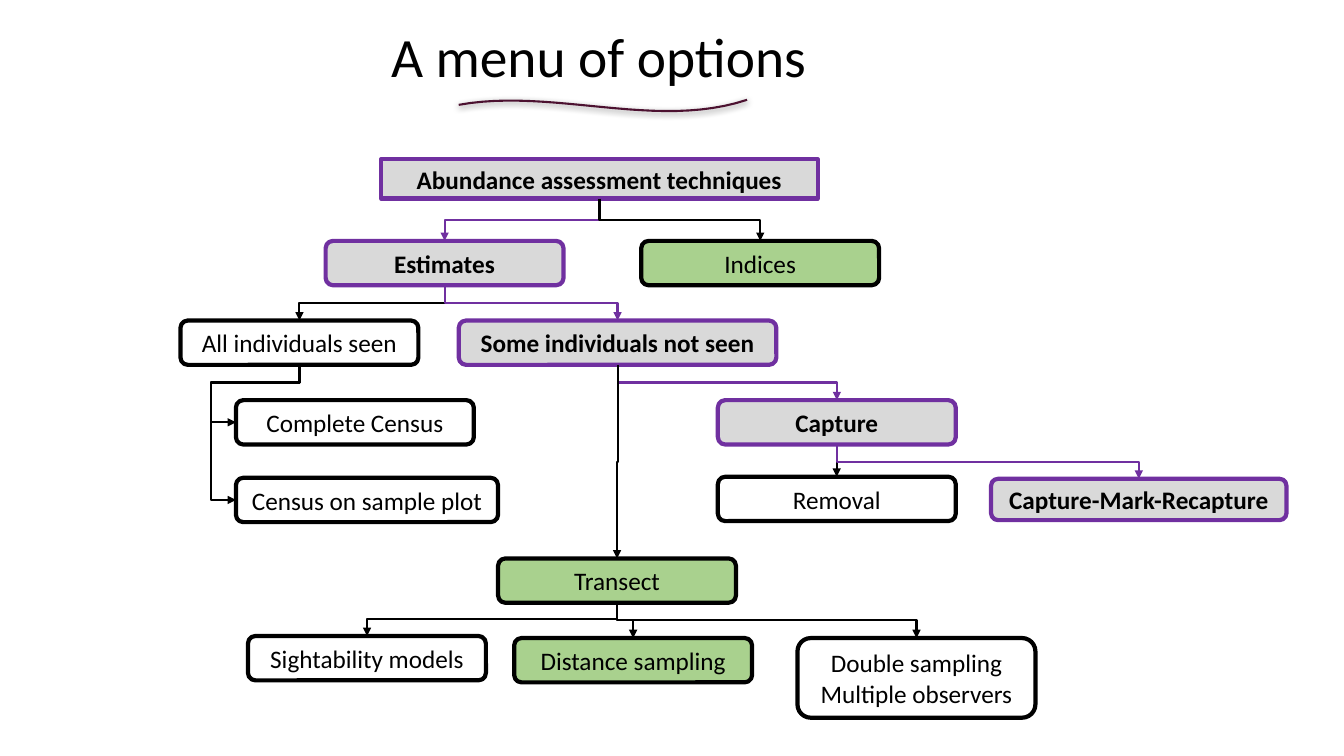
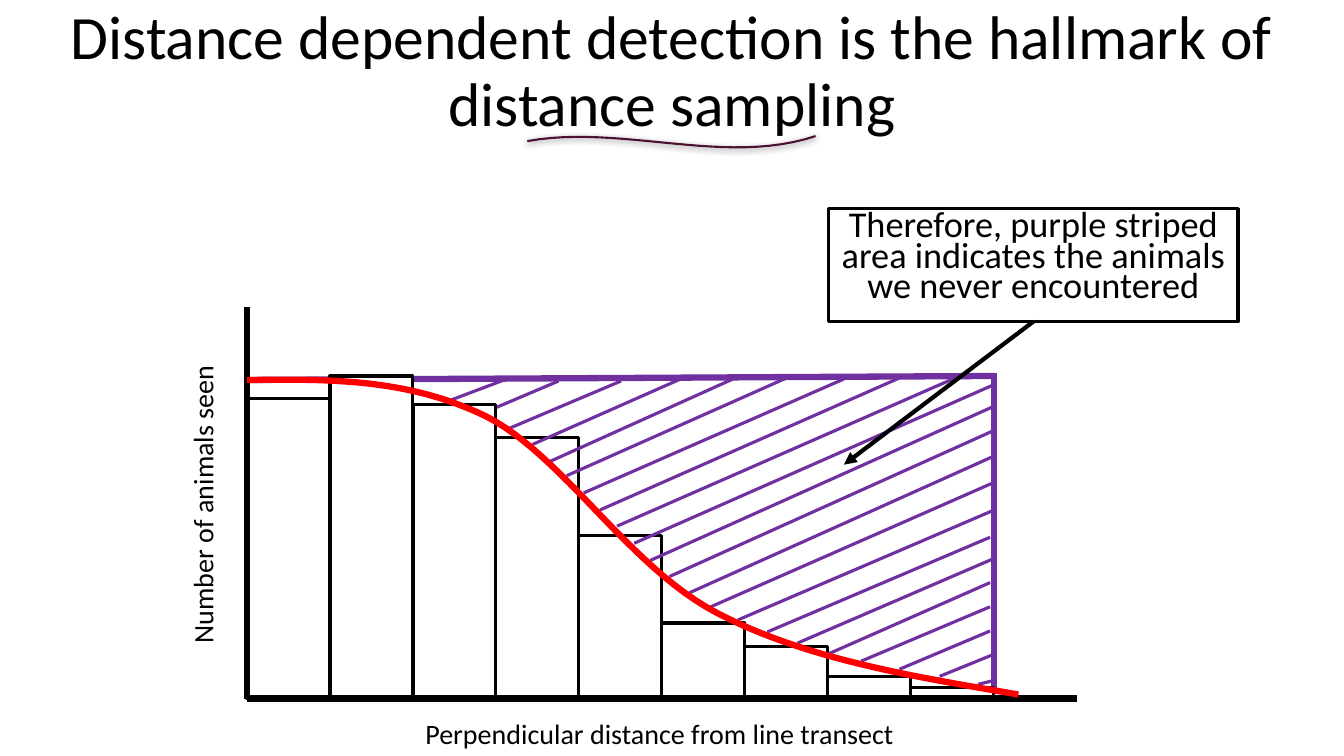
from lxml import etree
from pptx import Presentation
from pptx.dml.color import RGBColor
from pptx.enum.shapes import MSO_CONNECTOR, MSO_SHAPE
from pptx.enum.text import MSO_ANCHOR, PP_ALIGN
from pptx.oxml.ns import qn
from pptx.util import Inches, Pt

STRAIGHT = MSO_CONNECTOR.STRAIGHT
ELBOW = MSO_CONNECTOR.ELBOW
RECTANGLE = MSO_SHAPE.RECTANGLE
PROCESS = MSO_SHAPE.FLOWCHART_PROCESS
ROUNDED = MSO_SHAPE.FLOWCHART_ALTERNATE_PROCESS
TOP, MIDDLE = MSO_ANCHOR.TOP, MSO_ANCHOR.MIDDLE
LEFT, CENTER = PP_ALIGN.LEFT, PP_ALIGN.CENTER

FONT = "Calibri"
COLORS = {
    "black": "000000",
    "white": "FFFFFF",
    "purple": "7030A0",
    "grey": "D9D9D9",
    "green": "A9D18E",
    "red": "FF0000",
    "plum": "4C1130",
}
NODE_STYLES = {
    "plain": (None, "black", False),
    "green": ("green", "black", False),
    "chosen": ("grey", "purple", True),
}
SITE_TOP, SITE_LEFT, SITE_BOTTOM = 0, 1, 2
NODE_WIDTH, NODE_HEIGHT = 2.36, 0.44
SIDE_DROP, SIDE_REACH = 0.175, 0.25

NODES = [
    ("Abundance assessment techniques", None, "chosen", 1.99, 0, 4.33, 0.39),
    ("Estimates", "Abundance assessment techniques", "chosen", 1.44, 0.81),
    ("Indices", "Abundance assessment techniques", "green", 4.57, 0.81),
    ("All individuals seen", "Estimates", "plain", 0, 1.6),
    ("Some individuals not seen", "Estimates", "chosen", 2.76, 1.6, 3.15),
    ("Complete Census", "All individuals seen", "plain", 0.55, 2.39),
    ("Census on sample plot", "All individuals seen", "plain", 0.55, 3.16, 2.6),
    ("Capture", "Some individuals not seen", "chosen", 5.33, 2.39),
    ("Removal", "Capture", "plain", 5.33, 3.15),
    ("Capture-Mark-Recapture", "Capture", "chosen", 8.04, 3.17, 2.93, 0.41),
    ("Transect", "Some individuals not seen", "green", 3.15, 3.96),
    ("Sightability models", "Transect", "plain", 0.67, 4.73),
    ("Distance sampling", "Transect", "green", 3.31, 4.75),
    ("Double sampling\vMultiple observers", "Transect", "plain", 6.12, 4.75, 2.36, 0.79),
]
SIDE_PARENT = "All individuals seen"

BAR_HEIGHTS = [2.98, 3.2, 2.92, 2.59, 1.62, 0.75, 0.52, 0.22, 0.11]
BARS_BEHIND_STRIPES = (3, 4)
STRIPES = [
    (2.02, 0.92, 2.55, 0.72), (2.36, 1.04, 3.09, 0.73), (2.6, 1.2, 3.71, 0.73),
    (2.83, 1.36, 4.3, 0.71), (3, 1.53, 4.82, 0.71), (3.17, 1.67, 5.35, 0.7),
    (3.34, 1.84, 5.92, 0.71), (3.5, 2.01, 6.47, 0.7), (3.67, 2.17, 7, 0.71),
    (3.84, 2.34, 7.4, 0.77), (4, 2.51, 7.41, 0.98), (4.19, 2.67, 7.41, 1.22),
    (4.39, 2.83, 7.42, 1.47), (4.6, 2.97, 7.4, 1.74), (4.87, 3.1, 7.41, 2.01),
    (5.16, 3.22, 7.37, 2.28), (5.46, 3.33, 7.41, 2.49), (5.76, 3.44, 7.37, 2.73),
    (6.09, 3.51, 7.37, 2.97), (6.47, 3.59, 7.37, 3.21), (6.87, 3.66, 7.41, 3.44),
    (7.25, 3.74, 7.41, 3.7),
]
DETECTION_CURVE = [
    (0, 0.72), (0.8, 0.71), (1.59, 0.7), (2.37, 1.08), (3.14, 1.47),
    (3.78, 2.57), (4.66, 3.03), (5.54, 3.49), (6.6, 3.66), (7.65, 3.84),
]
SWOOSH_CURVE = [(0, 0), (0.94, -0.17), (1.96, 0.25), (2.86, -0.05)]


def rgb(name):
    return RGBColor.from_string(COLORS[name])


def set_line(item, color, width):
    item.line.color.rgb = rgb(color)
    item.line.width = Pt(width)


def write(item, text, size, bold=False, align=LEFT, anchor=TOP, spacing=None):
    frame = item.text_frame
    frame.vertical_anchor = anchor
    frame.text = text
    para = frame.paragraphs[0]
    para.alignment = align
    if spacing:
        para.line_spacing = spacing
    for span in para.runs:
        span.font.name = FONT
        span.font.size = Pt(size)
        span.font.bold = bold
        span.font.color.rgb = rgb("black")


def add_box(page, kind, box, fill, line, width):
    shape = page.shapes.add_shape(kind, *map(Inches, box))
    shape.shadow.inherit = False
    if fill:
        shape.fill.solid()
        shape.fill.fore_color.rgb = rgb(fill)
    else:
        shape.fill.background()
    set_line(shape, line, width)
    return shape


def add_text(page, box, text, size, wrap=True, **style):
    label = page.shapes.add_textbox(*map(Inches, box))
    label.text_frame.word_wrap = wrap
    write(label, text, size, **style)
    return label


def finish_connector(connector, color, width, arrow):
    set_line(connector, color, width)
    properties = connector.element.spPr
    if arrow:
        tail = etree.SubElement(properties.find(qn("a:ln")), qn("a:tailEnd"))
        tail.set("type", "triangle")
    etree.SubElement(properties, qn("a:effectLst"))


def add_line(page, origin, ends, color, width, arrow=False):
    left, top = origin
    x1, y1, x2, y2 = ends
    points = map(Inches, (left + x1, top + y1, left + x2, top + y2))
    connector = page.shapes.add_connector(STRAIGHT, *points)
    finish_connector(connector, color, width, arrow)


def add_branch(page, parent, child, color, sideways):
    connector = page.shapes.add_connector(ELBOW, 0, 0, 0, 0)
    connector.begin_connect(parent, SITE_BOTTOM)
    connector.end_connect(child, SITE_LEFT if sideways else SITE_TOP)
    x1, y1 = connector.begin_x, connector.begin_y
    x2, y2 = connector.end_x, connector.end_y
    drop, reach = y2 - y1, abs(x2 - x1)
    connector.left = (x1 + x2 - drop) // 2
    connector.top = (y1 + y2 - reach) // 2
    connector.width, connector.height = drop, reach
    rightward = x2 >= x1
    frame = connector.element.spPr.find(qn("a:xfrm"))
    frame.set("rot", "16200000" if rightward else "5400000")
    frame.set("flipH", "1" if rightward else "0")
    frame.set("flipV", "0")
    if sideways:
        geometry = connector.element.spPr.find(qn("a:prstGeom"))
        geometry.set("prst", "bentConnector4")
        guides = geometry.find(qn("a:avLst"))
        ratios = (Inches(SIDE_DROP) / drop, 1 + Inches(SIDE_REACH) / reach)
        for number, ratio in enumerate(ratios, 1):
            guide = etree.SubElement(guides, qn("a:gd"))
            guide.set("name", f"adj{number}")
            guide.set("fmla", f"val {round(ratio * 100000)}")
    finish_connector(connector, color, 1.5, True)


def curve_points(controls, steps=24):
    points = [controls[0]]
    for first in range(0, len(controls) - 1, 3):
        a, b, c, d = controls[first:first + 4]
        for step in range(1, steps + 1):
            t = step / steps
            weights = ((1 - t) ** 3, 3 * t * (1 - t) ** 2, 3 * t * t * (1 - t), t ** 3)
            points.append(tuple(
                sum(w * v for w, v in zip(weights, values)) for values in zip(a, b, c, d)
            ))
    return points


def add_curve(page, origin, controls, color, width):
    left, top = origin
    points = [(Inches(left + x), Inches(top + y)) for x, y in curve_points(controls)]
    builder = page.shapes.build_freeform(*points[0])
    builder.add_line_segments(points[1:], close=False)
    curve = builder.convert_to_shape()
    curve.fill.background()
    set_line(curve, color, width)
    curve.shadow.inherit = False
    return curve


def add_swoosh(page, origin):
    curve = add_curve(page, origin, SWOOSH_CURVE, "plum", 1.5)
    effects = curve.element.spPr.find(qn("a:effectLst"))
    shadow = etree.SubElement(effects, qn("a:outerShdw"))
    for name, value in (("blurRad", Pt(4.5)), ("dist", Pt(1.5)), ("dir", 5400000)):
        shadow.set(name, str(int(value)))
    shadow.set("rotWithShape", "0")
    tint = etree.SubElement(shadow, qn("a:srgbClr"))
    tint.set("val", COLORS["black"])
    etree.SubElement(tint, qn("a:alpha")).set("val", "50000")


def add_title(page, box, text, size, align, swoosh):
    add_text(page, box, text, size, align=align, anchor=MIDDLE, spacing=0.9)
    add_swoosh(page, swoosh)


def add_technique_tree(page, origin):
    left, top = origin
    shapes = {}
    for text, parent, style, x, y, *size in NODES:
        width, height = size + [NODE_WIDTH, NODE_HEIGHT][len(size):]
        fill, line, bold = NODE_STYLES[style]
        box = (left + x, top + y, width, height)
        node = add_box(page, ROUNDED if parent else PROCESS, box, fill, line, 3)
        write(node, text, 18, bold, CENTER, MIDDLE)
        shapes[text] = node
    for text, parent, style, *place in NODES:
        if parent:
            color = NODE_STYLES[style][1]
            add_branch(page, shapes[parent], shapes[text], color, parent == SIDE_PARENT)


def add_detection_plot(page, box):
    left, top, width, height = box
    origin = (left, top)
    pitch = width / 10

    def add_bar(index):
        tall = BAR_HEIGHTS[index]
        place = (left + index * pitch, top + height - tall, pitch, tall)
        add_box(page, RECTANGLE, place, "white", "black", 2.25)

    for index in BARS_BEHIND_STRIPES:
        add_bar(index)
    edge = 9 * pitch
    add_line(page, origin, (0, 0.72, edge, 0.68), "purple", 4.5)
    add_line(page, origin, (edge, 3.83, edge, 0.65), "purple", 4.5)
    for stripe in STRIPES:
        add_line(page, origin, stripe, "purple", 2.25)
    for index in range(len(BAR_HEIGHTS)):
        if index not in BARS_BEHIND_STRIPES:
            add_bar(index)
    add_line(page, origin, (0, height, 0, 0), "black", 4.5)
    add_line(page, origin, (0, height, width, height), "black", 4.5)
    add_curve(page, origin, DETECTION_CURVE, "red", 4.5)
    label = add_text(page, (left - 1.93, top + 1.72, 2.98, 0.44),
                     "Number of animals seen", 20, wrap=False)
    label.rotation = 270
    add_text(page, (left + 1.67, top + height + 0.13, 5.05, 0.44),
             "Perpendicular distance from line transect", 20, wrap=False)


def add_callout(page, box):
    left, top, width, height = box
    note = add_box(page, RECTANGLE, box, None, "black", 2.25)
    write(note, "Therefore, purple striped area indicates the animals we never encountered",
          25.9, align=CENTER, spacing=0.7)
    middle = width / 2
    add_line(page, (left, top), (middle, height, middle - 1.88, height + 1.42),
             "black", 3, arrow=True)


def build_menu(page):
    add_title(page, (3.78, 0.25, 4.45, 0.68), "A menu of options", 39.6, LEFT, (4.55, 1.04))
    add_technique_tree(page, (1.79, 1.58))


def build_detection(page):
    add_detection_plot(page, (2.45, 3.05, 8.23, 3.88))
    add_title(page, (0, 0, 13.33, 1.45),
              "Distance dependent detection is the hallmark of distance sampling",
              44, CENTER, (5.23, 1.4))
    add_callout(page, (8.22, 2.07, 4.06, 1.12))


def main():
    deck = Presentation()
    deck.slide_width, deck.slide_height = Inches(13.33), Inches(7.5)
    for build in (build_menu, build_detection):
        build(deck.slides.add_slide(deck.slide_layouts[6]))
    deck.save("out.pptx")


if __name__ == "__main__":
    main()
